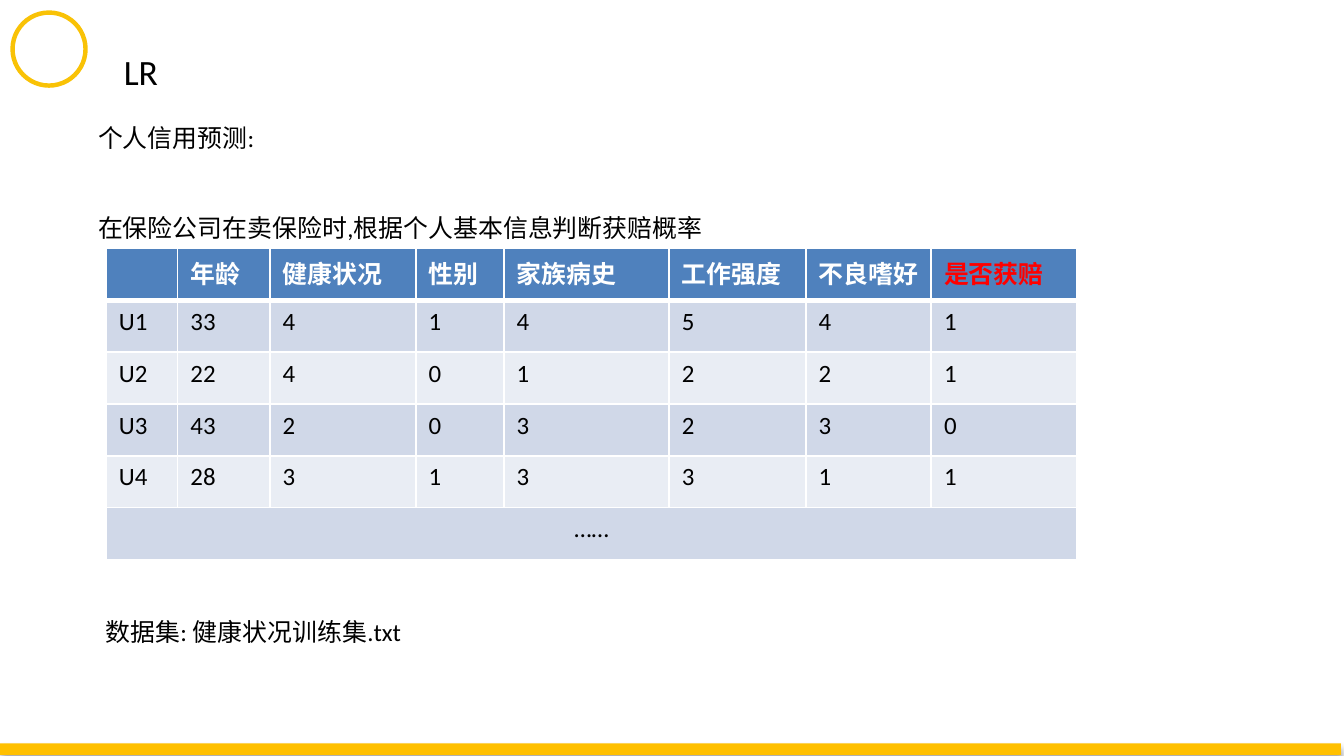
from dataclasses import dataclass

from lxml import etree
from pptx import Presentation
from pptx import util as u
from pptx.dml.color import RGBColor
from pptx.enum import shapes, text
from pptx.oxml import ns

GOLD = RGBColor(0xFF, 0xC0, 0x00)
RING = RGBColor(0xF9, 0xC2, 0x06)
BLACK = RGBColor(0, 0, 0)
WHITE = RGBColor(0xFF, 0xFF, 0xFF)
RED = RGBColor(0xFF, 0, 0)
BLUE = RGBColor(0x4F, 0x81, 0xBD)
BANDS = (RGBColor(0xD0, 0xD8, 0xE8), RGBColor(0xE9, 0xED, 0xF4))
FONT = "Calibri"


@dataclass
class Note:
    left: float
    top: float
    width: float
    height: float
    lines: tuple[str, ...]
    size: int = 14
    gap: int = 0
    inset: float = 0.25
    middle: bool = False


NOTES = (
    Note(2.26, 0.25, 15.21, 2.34, ("LR",), size=20, inset=0.2, middle=True),
    Note(1.7, 2.31, 19.25, 7.44,
         ("个人信用预测:", "在保险公司在卖保险时,根据个人基本信息判断获赔概率"), gap=34),
    Note(1.85, 12.12, 16.31, 0.86, ("数据集: 健康状况训练集.txt",)),
)

WIDTHS = (1.42, 1.83, 2.9, 1.75, 3.28, 2.72, 2.49, 2.9)
ROW = 1.03
ROWS = (
    ("", "年龄", "健康状况", "性别", "家族病史", "工作强度", "不良嗜好", "是否获赔"),
    ("U1", "33", "4", "1", "4", "5", "4", "1"),
    ("U2", "22", "4", "0", "1", "2", "2", "1"),
    ("U3", "43", "2", "0", "3", "2", "3", "0"),
    ("U4", "28", "3", "1", "3", "3", "1", "1"),
    ("……",) + ("",) * 7,
)


def style(para, size: int, color: RGBColor, bold: bool = False) -> None:
    for run in para.runs:
        font = run.font
        font.name, font.size, font.bold = FONT, u.Pt(size), bold
        font.color.rgb = color


def write(slide, note: Note) -> None:
    box = slide.shapes.add_textbox(
        u.Cm(note.left), u.Cm(note.top), u.Cm(note.width), u.Cm(note.height))
    frame = box.text_frame
    frame.word_wrap = True
    frame.margin_left = frame.margin_right = u.Cm(note.inset)
    if note.middle:
        frame.vertical_anchor = text.MSO_ANCHOR.MIDDLE
    for i, line in enumerate(note.lines):
        para = frame.add_paragraph() if i else frame.paragraphs[0]
        para.text = line
        if i:
            para.space_before = u.Pt(note.gap)
        style(para, note.size, BLACK)


def add_bar(slide) -> None:
    bar = slide.shapes.add_shape(
        shapes.MSO_SHAPE.RECTANGLE, 0, u.Cm(14.76), u.Cm(26.64), u.Cm(0.23))
    bar.shadow.inherit = False
    bar.fill.solid()
    bar.fill.fore_color.rgb = GOLD
    bar.line.fill.background()
    # Soft shadow straight below the bar
    glow = etree.SubElement(
        bar.element.spPr.find(ns.qn("a:effectLst")), ns.qn("a:outerShdw"),
        blurRad=str(u.Pt(3.1)), dist=str(u.Pt(1.8)), dir="5400000", rotWithShape="0")
    shade = etree.SubElement(glow, ns.qn("a:srgbClr"), val=str(BLACK))
    etree.SubElement(shade, ns.qn("a:alpha"), val="35000")


def add_ring(slide) -> None:
    ring = slide.shapes.add_shape(
        shapes.MSO_SHAPE.OVAL, u.Cm(0.25), u.Cm(0.25), u.Cm(1.45), u.Cm(1.45))
    ring.shadow.inherit = False
    ring.fill.background()
    ring.line.color.rgb = RING
    ring.line.width = u.Pt(2.5)


def edge(cell, row: int) -> None:
    props = cell._tc.get_or_add_tcPr()
    thick = {"T": 3 if row == 1 else 1, "B": 3 if row == 0 else 1}
    for side in "LRTB":
        line = etree.SubElement(
            props, ns.qn(f"a:ln{side}"), w=str(u.Pt(thick.get(side, 1))))
        fill = etree.SubElement(line, ns.qn("a:solidFill"))
        etree.SubElement(fill, ns.qn("a:srgbClr"), val=str(WHITE))


def add_grid(slide) -> None:
    last = len(WIDTHS) - 1
    grid = slide.shapes.add_table(
        len(ROWS), len(WIDTHS), u.Cm(2.11), u.Cm(4.93),
        u.Cm(sum(WIDTHS)), u.Cm(ROW * len(ROWS))).table
    for col, width in zip(grid.columns, WIDTHS):
        col.width = u.Cm(width)
    for r, row in enumerate(ROWS):
        grid.rows[r].height = u.Cm(ROW)
        for c, value in enumerate(row):
            cell = grid.cell(r, c)
            edge(cell, r)
            cell.fill.solid()
            cell.fill.fore_color.rgb = BANDS[(r - 1) % 2] if r else BLUE
            cell.text_frame.text = value
            color = BLACK if r else RED if c == last else WHITE
            style(cell.text_frame.paragraphs[0], 14, color, bold=r == 0)
    # Closing row spans the whole table
    end = grid.cell(len(ROWS) - 1, 0)
    end.merge(grid.cell(len(ROWS) - 1, last))
    end.text_frame.paragraphs[0].alignment = text.PP_ALIGN.CENTER


def main() -> None:
    deck = Presentation()
    deck.slide_width, deck.slide_height = u.Cm(26.7), u.Cm(15.01)
    slide = deck.slides.add_slide(deck.slide_layouts[6])
    # Frame
    add_bar(slide)
    add_ring(slide)
    # Content
    for note in NOTES:
        write(slide, note)
    add_grid(slide)
    deck.save("out.pptx")


if __name__ == "__main__":
    main()
